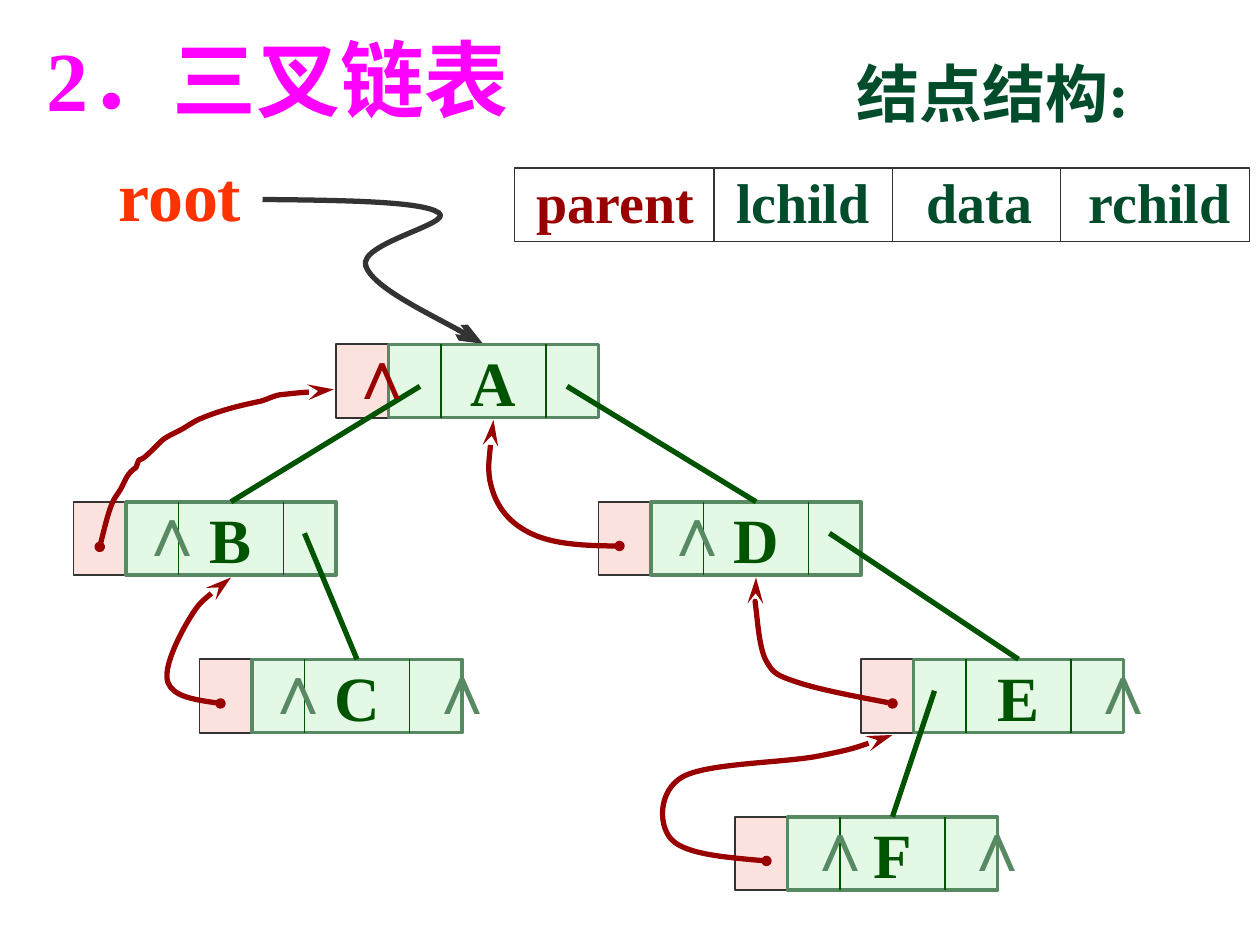
from dataclasses import dataclass

from lxml.etree import SubElement
from pptx import Presentation
from pptx.dml.color import RGBColor
from pptx.enum.shapes import MSO_CONNECTOR, MSO_SHAPE
from pptx.enum.text import MSO_ANCHOR, MSO_AUTO_SIZE, PP_ALIGN
from pptx.oxml.ns import qn
from pptx.shapes.autoshape import Shape
from pptx.shapes.connector import Connector
from pptx.slide import Slide
from pptx.text.text import TextFrame
from pptx.util import Pt

COLORS = {
    "title": "FF00FF",
    "root": "FF3300",
    "heading": "004C2B",
    "ink": "333333",
    "parent": "990000",
    "parent_fill": "FBE2DF",
    "child": "005400",
    "node_fill": "CAF2CE",
    "node_line": "578963",
}
SERIF, SANS, CHINESE = "Times New Roman", "Arial", "Noto Sans CJK SC"

CELL, NODE_WIDTH, NODE_HEIGHT = 30, 120, 42
FIRST_LEVEL_TOP, LEVEL_STEP = 196.75, 90
HEAD_SIZES = {"stealth": ("med", "lg"), "arrow": ("med", "lg"), "oval": ("sm", "sm")}


@dataclass(frozen=True)
class Node:
    label: str
    left: float
    level: int
    nulls: tuple[float, ...] = ()  # offsets of the ∧ marks from the left edge

    @property
    def top(self) -> float:
        return FIRST_LEVEL_TOP + LEVEL_STEP * self.level


@dataclass(frozen=True)
class ChildLink:
    parent: str
    child: str
    dx: float
    dy: float


@dataclass(frozen=True)
class Curve:
    """Cubic Bézier chain: a start point, then three points per segment."""
    points: tuple[tuple[float, float], ...]
    color: str = "parent"
    head: str = "stealth"
    tail: str = "oval"


NODES = (
    Node("A", 222, 0),
    Node("D", 372, 1, (-0.5,)),
    Node("E", 522, 2, (93,)),
    Node("B", 72, 1, (-0.5,)),
    Node("C", 144, 2, (-0.5, 93)),
    Node("F", 450, 3, (3, 93)),
)
CHILD_LINKS = (
    ChildLink("A", "D", 102, 24),
    ChildLink("B", "C", 102, 18),
    ChildLink("D", "E", 102, 18),
    ChildLink("E", "F", 12, 18),
    ChildLink("A", "B", 18, 24),
)
ROOT_CURVE = Curve(
    ((150, 114), (196, 114.5), (241, 115), (250.5, 121.5),
     (260.5, 127.5), (204.5, 139), (209, 152), (213, 164), (265, 189.5), (276, 196.5)),
    color="ink", head="none", tail="arrow")
PARENT_CURVES = (
    Curve(  # B to A
        ((57, 312.5), (59, 305.3), (62.6, 288.7), (66.2, 283.7),
         (67, 282.2), (68.4, 280.8), (69.1, 279.4), (72, 273.6), (72.7, 270.7), (77.8, 267.1),
         (80.6, 259.2), (77.8, 265.7), (84.2, 259.9), (95, 249.8), (90.7, 252), (102.2, 246.2),
         (106.6, 244.1), (110.9, 240.5), (115.2, 239), (125.3, 234.7), (136.8, 231.8), (146.9, 229.7),
         (151.9, 229), (157, 225.4), (162, 225.4), (169.2, 224.6), (175.7, 223.9), (182.9, 223.9),
         (185.8, 223.2), (190.8, 222.5), (190.8, 222.5)),
        head="oval", tail="stealth"),
    Curve((  # D to A
        (282, 240), (280, 255.6), (278, 270.7), (282, 282),
        (286, 293), (294, 301), (306, 306), (318, 311), (336, 312), (354, 312))),
    Curve((  # C to B
        (132, 330), (123, 337), (114, 344), (108, 354),
        (102, 364), (93, 382), (96, 390), (99, 398), (112, 400), (126, 402))),
    Curve((  # E to D
        (432, 330), (431, 335), (431, 340), (432, 348), (433, 356), (434, 371), (438, 378),
        (442, 385), (444, 386), (456, 390), (468, 394), (489, 398), (510, 402))),
    Curve((  # F to E
        (510, 420), (499, 424), (488, 428), (468, 432), (448, 436), (404, 436), (390, 444),
        (376, 452), (376, 472), (384, 480), (392, 488), (415, 490), (438, 492))),
)
RECORD_LEFT, RECORD_TOP, RECORD_WIDTH = 294, 96, 420
RECORD_DIVIDERS = (408, 510, 606)
FIELD_TABS = (114, 223, 315.5)


def rgb(name: str) -> RGBColor:
    return RGBColor.from_string(COLORS[name])


def write(frame: TextFrame, text: str, *, size: float, color: str, font: str = SERIF) -> None:
    """Append a bold run to the first paragraph."""
    run = frame.paragraphs[0].add_run()
    run.text = text
    run.font.name, run.font.size, run.font.bold = font, Pt(size), True
    run.font.color.rgb = rgb(color)
    SubElement(run.font._element, qn("a:ea")).set("typeface", CHINESE)


def add_label(slide: Slide, left: float, top: float, width: float, height: float,
              wrap: bool = False) -> TextFrame:
    frame = slide.shapes.add_textbox(Pt(left), Pt(top), Pt(width), Pt(height)).text_frame
    frame.word_wrap = wrap
    frame.auto_size = MSO_AUTO_SIZE.SHAPE_TO_FIT_TEXT
    return frame


def add_null(slide: Slide, left: float, top: float, color: str = "node_line") -> None:
    write(add_label(slide, left, top, 27.5, 55.5), "∧", size=40, color=color, font=SANS)


def add_box(slide: Slide, left: float, top: float, width: float, *, line: str,
            weight: float = 1, fill: str | None = None) -> Shape:
    box = slide.shapes.add_shape(MSO_SHAPE.RECTANGLE, Pt(left), Pt(top), Pt(width), Pt(NODE_HEIGHT))
    box.shadow.inherit = False
    if fill:
        box.fill.solid()
        box.fill.fore_color.rgb = rgb(fill)
    else:
        box.fill.background()
    box.line.color.rgb, box.line.width = rgb(line), Pt(weight)
    return box


def add_line(slide: Slide, start: tuple[float, float], end: tuple[float, float],
             color: str, weight: float = 1) -> Connector:
    line = slide.shapes.add_connector(MSO_CONNECTOR.STRAIGHT, *map(Pt, start + end))
    line.line.color.rgb, line.line.width = rgb(color), Pt(weight)
    SubElement(line._element.spPr, qn("a:effectLst"))
    return line


def add_divider(slide: Slide, x: float, top: float, color: str) -> None:
    add_line(slide, (x, top), (x, top + NODE_HEIGHT), color)


def add_curve(slide: Slide, curve: Curve) -> None:
    start, *rest = [(Pt(x), Pt(y)) for x, y in curve.points]
    builder = slide.shapes.build_freeform(*start)
    builder.add_line_segments(rest, close=False)
    shape = builder.convert_to_shape()
    segments = shape._element.xpath(".//a:lnTo")
    outline = segments[0].getparent()
    for i in range(0, len(segments), 3):
        bezier = SubElement(outline, qn("a:cubicBezTo"))
        for segment in segments[i:i + 3]:
            bezier.append(segment[0])
            outline.remove(segment)
    shape.shadow.inherit = False
    shape.fill.background()
    shape.line.color.rgb, shape.line.width = rgb(curve.color), Pt(3)
    stroke = shape._element.spPr.find(qn("a:ln"))
    for tag, kind in (("a:headEnd", curve.head), ("a:tailEnd", curve.tail)):
        width, length = HEAD_SIZES.get(kind, ("med", "med"))
        SubElement(stroke, qn(tag), type=kind, w=width, len=length)


def add_node(slide: Slide, node: Node) -> Shape:
    """Draw the parent cell and the lchild, data and rchild cells."""
    add_box(slide, node.left - CELL, node.top, CELL, line="ink", fill="parent_fill")
    body = add_box(slide, node.left, node.top, NODE_WIDTH, line="node_line", weight=2, fill="node_fill")
    SubElement(body._element.spPr.find(".//" + qn("a:srgbClr")), qn("a:alpha")).set("val", "50000")
    frame = body.text_frame
    frame.word_wrap = False
    frame.vertical_anchor = MSO_ANCHOR.MIDDLE
    frame.paragraphs[0].alignment = PP_ALIGN.CENTER
    write(frame, node.label, size=36, color="child")
    for x in (node.left + CELL, node.left + NODE_WIDTH - CELL):
        add_divider(slide, x, node.top, "child")
    for offset in node.nulls:
        add_null(slide, node.left + offset, node.top - 12)
    return body


def add_record(slide: Slide) -> None:
    """Draw the field layout of one tree node."""
    fields = add_label(slide, 299.5, 92, 412, 46)
    stops = SubElement(fields.paragraphs[0]._p.get_or_add_pPr(), qn("a:tabLst"))
    for position in FIELD_TABS:
        SubElement(stops, qn("a:tab"), pos=str(Pt(position)), algn="l")
    write(fields, "parent", size=32, color="parent")
    write(fields, "\tlchild\tdata\trchild", size=32, color="heading")
    add_box(slide, RECORD_LEFT, RECORD_TOP, RECORD_WIDTH, line="ink")
    for x in RECORD_DIVIDERS:
        add_divider(slide, x, RECORD_TOP, "ink")


def main() -> None:
    deck = Presentation()
    deck.slide_width, deck.slide_height = Pt(720), Pt(540)
    slide = deck.slides.add_slide(deck.slide_layouts[6])

    add_curve(slide, ROOT_CURVE)
    write(add_label(slide, 60.5, 83, 85, 55.5), "root", size=40, color="root")

    nodes = {node.label: node for node in NODES}
    bodies = {node.label: add_node(slide, node) for node in NODES}
    for link in CHILD_LINKS:
        parent, child = nodes[link.parent], nodes[link.child]
        line = add_line(slide, (parent.left + link.dx, parent.top + link.dy),
                        (child.left + NODE_WIDTH / 2, child.top), "child", 3)
        line.end_connect(bodies[link.child], 0)
    add_null(slide, nodes["A"].left - 30.5, nodes["A"].top - 12, "parent")

    title = add_label(slide, 19.5, 12, 310, 65, wrap=True)
    write(title, "2．", size=48, color="title")
    write(title, "三叉链表", size=48, color="title", font=CHINESE)
    add_record(slide)
    write(add_label(slide, 482.5, 27.5, 178.5, 50.5), "结点结构:", size=36, color="heading")
    for curve in PARENT_CURVES:
        add_curve(slide, curve)
    deck.save("out.pptx")


if __name__ == "__main__":
    main()
